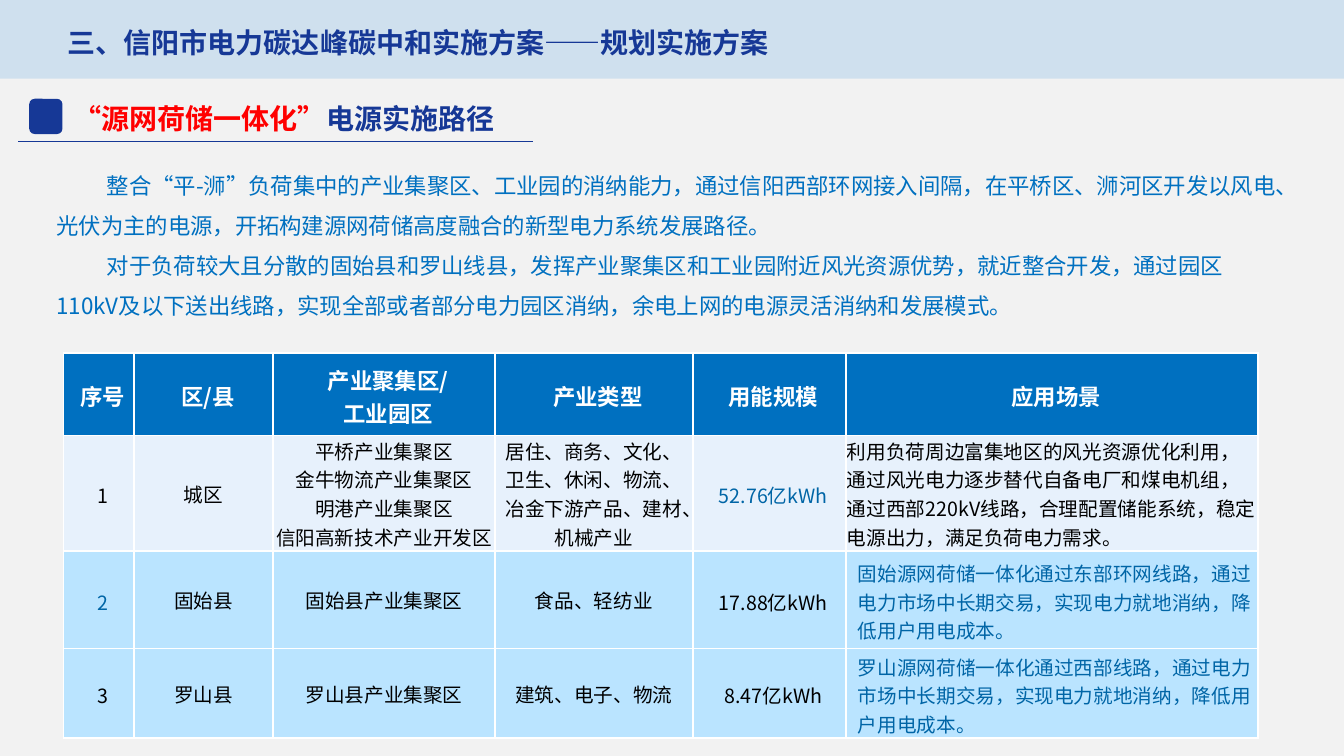
from lxml import etree
from pptx import Presentation
from pptx.dml.color import RGBColor
from pptx.enum import shapes, text
from pptx.oxml import ns
from pptx.util import Inches, Pt

NAVY = RGBColor(0x16, 0x38, 0x96)
BLUE = RGBColor(0x00, 0x70, 0xC0)
DEEP_BLUE = RGBColor(0x00, 0x65, 0xA6)
RED = RGBColor(0xFF, 0x00, 0x00)
BLACK = RGBColor(0x00, 0x00, 0x00)
WHITE = RGBColor(0xFF, 0xFF, 0xFF)
BAND = RGBColor(0xCF, 0xE0, 0xEE)
BACKGROUND = RGBColor(0xF2, 0xF2, 0xF2)
PALE_ROW = RGBColor(0xE7, 0xF1, 0xFC)
SKY_ROW = RGBColor(0xBA, 0xE4, 0xFF)

PARAGRAPHS = [
    "整合“平-浉”负荷集中的产业集聚区、工业园的消纳能力，通过信阳西部环网接入间隔，在平桥区、浉河区开发以风电、光伏为主的电源，开拓构建源网荷储高度融合的新型电力系统发展路径。",
    "对于负荷较大且分散的固始县和罗山线县，发挥产业聚集区和工业园附近风光资源优势，就近整合开发，通过园区110kV及以下送出线路，实现全部或者部分电力园区消纳，余电上网的电源灵活消纳和发展模式。",
]
TABLE_ROWS = [
    ["序号", "区/县", "产业聚集区/\n工业园区", "产业类型", "用能规模", "应用场景"],
    ["1", "城区", "平桥产业集聚区\n金牛物流产业集聚区\n明港产业集聚区\n信阳高新技术产业开发区",
     "居住、商务、文化、卫生、休闲、物流、冶金下游产品、建材、机械产业", "52.76亿kWh",
     "利用负荷周边富集地区的风光资源优化利用，通过风光电力逐步替代自备电厂和煤电机组，通过西部220kV线路，合理配置储能系统，稳定电源出力，满足负荷电力需求。"],
    ["2", "固始县", "固始县产业集聚区", "食品、轻纺业", "17.88亿kWh",
     "固始源网荷储一体化通过东部环网线路，通过电力市场中长期交易，实现电力就地消纳，降低用户用电成本。"],
    ["3", "罗山县", "罗山县产业集聚区", "建筑、电子、物流", "8.47亿kWh",
     "罗山源网荷储一体化通过西部线路，通过电力市场中长期交易，实现电力就地消纳，降低用户用电成本。"],
]
COLUMN_WIDTHS = [0.7, 1.38, 2.2, 1.96, 1.52, 4.09]
ROW_HEIGHTS = [0.82, 1.1, 0.97, 0.89]
ROW_FILLS = [BLUE, PALE_ROW, SKY_ROW, SKY_ROW]
BLUE_CELLS = {(1, 4), (2, 0), (2, 5), (3, 5)}
TIGHT_CELLS = {(row, column) for row in (1, 2, 3) for column in (1, 2, 3)} | {(1, 5)}
WIDE_MARGINS = (0.12, 0.04, 0.04, 0)
TIGHT_MARGINS = (0.01, 0.01, 0.01, 0)


class SlideBuilder:
    font_name = "Noto Sans CJK SC"

    def __init__(self, slide):
        self.slide = slide
        fill = slide.background.fill
        fill.solid()
        fill.fore_color.rgb = BACKGROUND

    def run(self, paragraph, content, size, color, bold=False):
        run = paragraph.add_run()
        run.text = content
        font = run.font
        font.size, font.bold, font.name = Pt(size), bold, self.font_name
        font.color.rgb = color
        east_asian = etree.SubElement(run._r.get_or_add_rPr(), ns.qn("a:ea"))
        east_asian.set("typeface", self.font_name)

    def place(self, shape, left, top, width, height):
        shape.left, shape.top = Inches(left), Inches(top)
        shape.width, shape.height = Inches(width), Inches(height)

    def heading(self, shape, box, runs):
        """Fill a one-line heading with (text, colour) runs."""
        self.place(shape, *box)
        frame = shape.text_frame
        frame.word_wrap = False
        frame.auto_size = text.MSO_AUTO_SIZE.NONE
        frame.vertical_anchor = text.MSO_ANCHOR.TOP
        paragraph = frame.paragraphs[0]
        paragraph.alignment = text.PP_ALIGN.LEFT
        for content, color in runs:
            self.run(paragraph, content, 20, color, True)

    def title(self, box, content):
        self.heading(self.slide.shapes.title, box, [(content, NAVY)])

    def subtitle(self, box, runs):
        self.heading(self.slide.shapes.add_textbox(0, 0, 0, 0), box, runs)

    def body(self, box, contents):
        shape = self.slide.placeholders[1]
        self.place(shape, *box)
        frame = shape.text_frame
        frame.auto_size = text.MSO_AUTO_SIZE.NONE
        for index, content in enumerate(contents):
            paragraph = frame.add_paragraph() if index else frame.paragraphs[0]
            properties = paragraph._p.get_or_add_pPr()
            properties.set("marL", "0")
            properties.set("indent", str(Inches(0.5)))
            etree.SubElement(properties, ns.qn("a:buNone"))
            paragraph.line_spacing = 1.5
            paragraph.space_before = Pt(0)
            self.run(paragraph, content, 16, BLUE)

    def block(self, kind, box, color):
        shape = self.slide.shapes.add_shape(kind, 0, 0, 0, 0)
        self.place(shape, *box)
        shape.shadow.inherit = False
        shape.fill.solid()
        shape.fill.fore_color.rgb = color
        shape.line.fill.background()
        return shape

    def band(self, box):
        """Draw the header band behind the placeholders."""
        shape = self.block(shapes.MSO_SHAPE.RECTANGLE, box, BAND)
        self.slide.shapes._spTree.insert(2, shape._element)

    def rule(self, left, right, top):
        line = self.slide.shapes.add_connector(
            shapes.MSO_CONNECTOR.STRAIGHT, Inches(left), Inches(top), Inches(right), Inches(top))
        line.line.color.rgb = NAVY
        line.line.width = Pt(0.75)
        etree.SubElement(line._element.spPr, ns.qn("a:effectLst"))

    def borders(self, cell):
        properties = cell._tc.get_or_add_tcPr()
        for index, side in enumerate(("lnL", "lnR", "lnT", "lnB")):
            line = etree.Element(ns.qn(f"a:{side}"), w=str(Pt(1.5)))
            fill = etree.SubElement(line, ns.qn("a:solidFill"))
            etree.SubElement(fill, ns.qn("a:srgbClr"), val=str(WHITE))
            properties.insert(index, line)

    def cell(self, cell, content, fill, margins, alignment, size, color, bold):
        cell.fill.solid()
        cell.fill.fore_color.rgb = fill
        self.borders(cell)
        cell.vertical_anchor = text.MSO_ANCHOR.MIDDLE
        (cell.margin_left, cell.margin_top,
         cell.margin_right, cell.margin_bottom) = map(Inches, margins)
        frame = cell.text_frame
        for index, line in enumerate(content.split("\n")):
            paragraph = frame.add_paragraph() if index else frame.paragraphs[0]
            paragraph.alignment = alignment
            self.run(paragraph, line, size, color, bold)

    def table(self, left, top):
        table = self.slide.shapes.add_table(
            len(ROW_HEIGHTS), len(COLUMN_WIDTHS), Inches(left), Inches(top),
            Inches(sum(COLUMN_WIDTHS)), Inches(sum(ROW_HEIGHTS))).table
        table.horz_banding = False
        for column, width in zip(table.columns, COLUMN_WIDTHS):
            column.width = Inches(width)
        for row, height in zip(table.rows, ROW_HEIGHTS):
            row.height = Inches(height)
        for row, contents in enumerate(TABLE_ROWS):
            header = row == 0
            for column, content in enumerate(contents):
                position = (row, column)
                scenario = column == 5 and not header
                color = WHITE if header else DEEP_BLUE if position in BLUE_CELLS else BLACK
                self.cell(
                    table.cell(row, column), content, ROW_FILLS[row],
                    TIGHT_MARGINS if position in TIGHT_CELLS else WIDE_MARGINS,
                    text.PP_ALIGN.LEFT if scenario else text.PP_ALIGN.CENTER,
                    16 if header else 14, color, header)


def main():
    presentation = Presentation()
    presentation.slide_width, presentation.slide_height = Inches(13.33), Inches(7.5)
    builder = SlideBuilder(presentation.slides.add_slide(presentation.slide_layouts[1]))
    builder.band((0, 0, 13.33, 0.78))
    builder.title((0.57, 0.2, 7.26, 0.44), "三、信阳市电力碳达峰碳中和实施方案——规划实施方案")
    builder.body((0.46, 1.52, 12.33, 1.72), PARAGRAPHS)
    builder.table(0.63, 3.5)
    builder.rule(0.18, 5.29, 1.4)
    builder.block(shapes.MSO_SHAPE.ROUNDED_RECTANGLE, (0.29, 0.98, 0.33, 0.35), NAVY)
    builder.subtitle((0.63, 0.96, 4.41, 0.44), [("“源网荷储一体化”", RED), ("电源实施路径", NAVY)])
    presentation.save("out.pptx")


if __name__ == "__main__":
    main()
